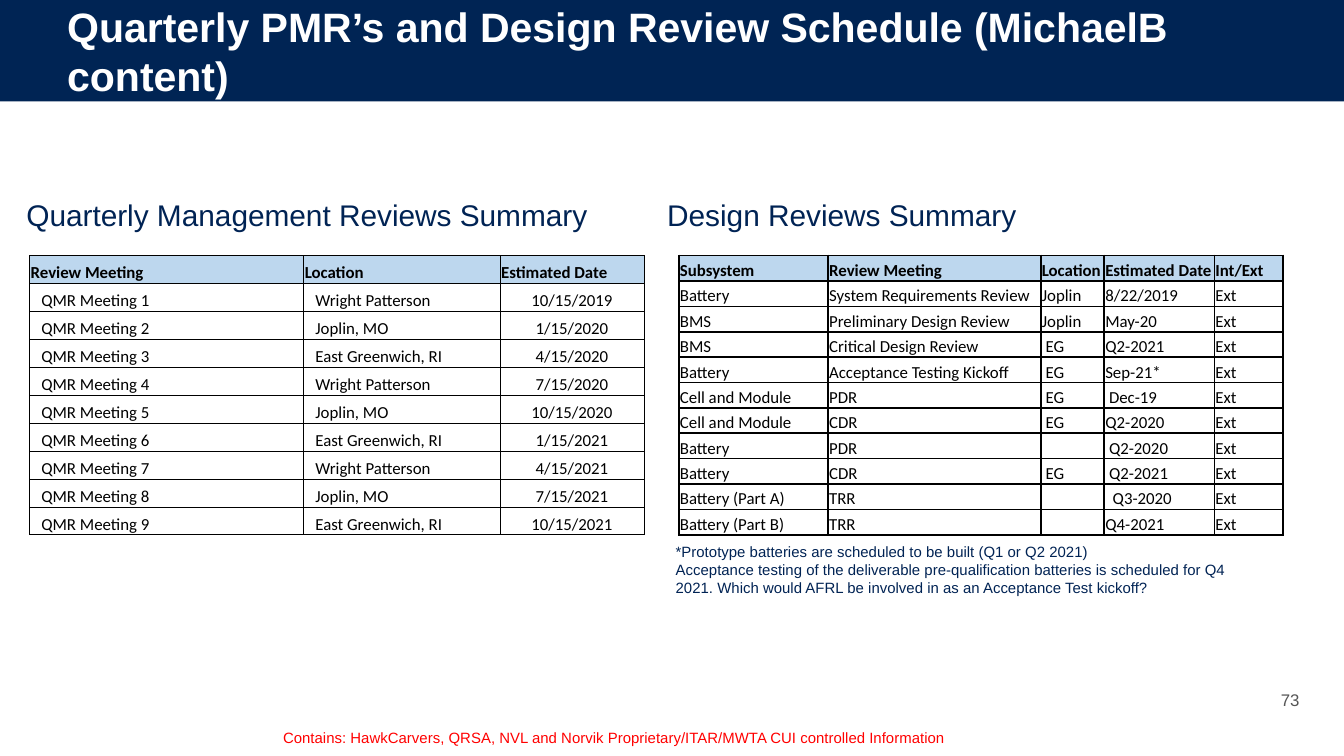
from lxml.etree import SubElement as Sub
from pptx import Presentation
from pptx.dml.color import RGBColor as Rgb
from pptx.enum.shapes import MSO_SHAPE as Shape
from pptx.enum.text import MSO_ANCHOR as Anchor, PP_ALIGN as Align
from pptx.oxml import parse_xml
from pptx.oxml.ns import nsdecls, qn
from pptx.util import Cm, Pt

INK = {"bar": "002454", "navy": "002354", "white": "FFFFFF", "black": "000000",
       "head": "BDD7EE", "red": "FF0000", "gray": "565656"}


class Deck:
    def __init__(self, wide, high):
        self.prs = Presentation()
        self.prs.slide_width, self.prs.slide_height = Cm(wide), Cm(high)
        self.slide = self.prs.slides.add_slide(self.prs.slide_layouts[5])
        self.shapes = self.slide.shapes

    def color(self, name):
        return Rgb.from_string(INK[name])

    def style(self, frame, size, ink, font="Arial", bold=False, align=Align.LEFT):
        for para in frame.paragraphs:
            para.alignment = align
            for run in para.runs:
                run.font.name, run.font.size, run.font.bold = font, Pt(size), bold
                run.font.color.rgb = self.color(ink)

    def title(self, text, box, size):
        head = self.shapes.title
        head.left, head.top, head.width, head.height = map(Cm, box)
        frame = head.text_frame
        frame.text = text
        frame.word_wrap = True
        frame.vertical_anchor = Anchor.MIDDLE
        frame.margin_left = frame.margin_right = Cm(1.27)
        self.style(frame, size, "white", bold=True)

    def band(self, box, ink):
        bar = self.shapes.add_shape(Shape.RECTANGLE, *map(Cm, box))
        bar.shadow.inherit = False
        bar.fill.solid()
        bar.fill.fore_color.rgb = self.color(ink)
        bar.line.fill.background()
        self.shapes.title._element.addprevious(bar._element)

    def text(self, text, box, size, ink, align=Align.LEFT, anchor=Anchor.TOP):
        frame = self.shapes.add_textbox(*map(Cm, box)).text_frame
        frame.text = text
        frame.word_wrap = True
        frame.vertical_anchor = anchor
        self.style(frame, size, ink, align=align)

    def edge(self, cell, width):
        props = cell._tc.get_or_add_tcPr()
        for spot, side in enumerate("LRTB"):
            props.insert(spot, parse_xml(
                f'<a:ln{side} {nsdecls("a")} w="{Pt(width)}"><a:solidFill>'
                f'<a:srgbClr val="{INK["black"]}"/></a:solidFill></a:ln{side}>'))

    def cell(self, cell, text, head, align, pad, line):
        cell.text = text
        cell.vertical_anchor = Anchor.BOTTOM
        cell.margin_left = Cm(pad)
        cell.margin_top = cell.margin_right = Cm(0.02)
        cell.margin_bottom = 0
        if head:
            cell.fill.solid()
            cell.fill.fore_color.rgb = self.color("head")
        else:
            cell.fill.background()
        self.edge(cell, line)
        self.style(cell.text_frame, 9, "black", "Calibri", head, align)
        if not text:
            Sub(cell.text_frame.paragraphs[0]._p, qn("a:endParaRPr"), sz="900")

    def table(self, rows, left, top, high, cols, line, aligns, pads, shifts):
        grid = self.shapes.add_table(len(rows), len(cols), Cm(left), Cm(top),
                                     Cm(sum(cols)), Cm(high)).table
        grid.first_row = grid.horz_banding = False
        for col, width in zip(grid.columns, cols):
            col.width = Cm(width)
        for r, row in enumerate(rows):
            grid.rows[r].height = Cm(high / len(rows))
            for c, text in enumerate(row):
                head = r == 0
                align = Align.LEFT if head else aligns[c]
                pad = 0.02 if head else pads[c] + shifts.get((r, c), 0)
                self.cell(grid.cell(r, c), text, head, align, pad, line)


def main():
    deck = Deck(25.4, 14.29)
    deck.title("Quarterly PMR’s and Design Review Schedule (MichaelB content)",
               (0, 0, 25.4, 1.9), 22)
    deck.band((0, 0, 25.4, 1.92), "bar")
    deck.text("73", (23.9, 12.85, 0.97, 0.76), 9, "gray", Align.CENTER, Anchor.MIDDLE)
    deck.text("Contains: HawkCarvers, QRSA, NVL and Norvik Proprietary/ITAR/MWTA CUI "
              "controlled Information", (5.1, 13.64, 17.68, 0.6), 8, "red")

    for left, text in ((0.25, "Quarterly Management Reviews Summary"),
                       (12.36, "Design Reviews Summary")):
        deck.text(text, (left, 3.6, 11.92, 0.94), 16, "navy")

    sites = ["Wright Patterson", "Joplin, MO", "East Greenwich, RI"]
    dates = ["10/15/2019", "1/15/2020", "4/15/2020", "7/15/2020", "10/15/2020",
             "1/15/2021", "4/15/2021", "7/15/2021", "10/15/2021"]
    meets = [("Review Meeting", "Location", "Estimated Date")]
    meets += [(f"QMR Meeting {n + 1}", sites[n % 3], date)
              for n, date in enumerate(dates)]
    deck.table(meets, 0.56, 4.83, 5.28, (5.18, 3.71, 2.72), 0.5,
               (Align.LEFT, Align.LEFT, Align.CENTER), (0.22, 0.22, 0.02), {})

    plans = [
        ("Battery", "System Requirements Review", "Joplin", "8/22/2019"),
        ("BMS", "Preliminary Design Review", "Joplin", "May-20"),
        ("BMS", "Critical Design Review", "EG", "Q2-2021"),
        ("Battery", "Acceptance Testing Kickoff", "EG", "Sep-21*"),
        ("Cell and Module", "PDR", "EG", "Dec-19"),
        ("Cell and Module", "CDR", "EG", "Q2-2020"),
        ("Battery", "PDR", "", "Q2-2020"),
        ("Battery", "CDR", "EG", "Q2-2021"),
        ("Battery (Part A)", "TRR", "", "Q3-2020"),
        ("Battery (Part B)", "TRR", "", "Q4-2021"),
    ]
    shifts = {(r, 2): 0.07 for r, plan in enumerate(plans, 1) if plan[2] == "EG"}
    shifts |= {(5, 3): 0.07, (7, 3): 0.07, (8, 3): 0.07, (9, 3): 0.14}
    views = [("Subsystem", "Review Meeting", "Location", "Estimated Date", "Int/Ext")]
    views += [plan + ("Ext",) for plan in plans]
    deck.table(views, 12.83, 4.83, 5.28, (2.82, 4.02, 1.2, 2.08, 1.3), 1,
               [Align.LEFT] * 5, [0.02] * 5, shifts)

    deck.text("*Prototype batteries are scheduled to be built (Q1 or Q2 2021)\n"
              "Acceptance testing of the deliverable pre-qualification batteries is "
              "scheduled for Q4 2021. Which would AFRL be involved in as an "
              "Acceptance Test kickoff?", (12.52, 10.13, 11.58, 1.27), 8, "navy")
    deck.prs.save("out.pptx")


if __name__ == "__main__":
    main()
